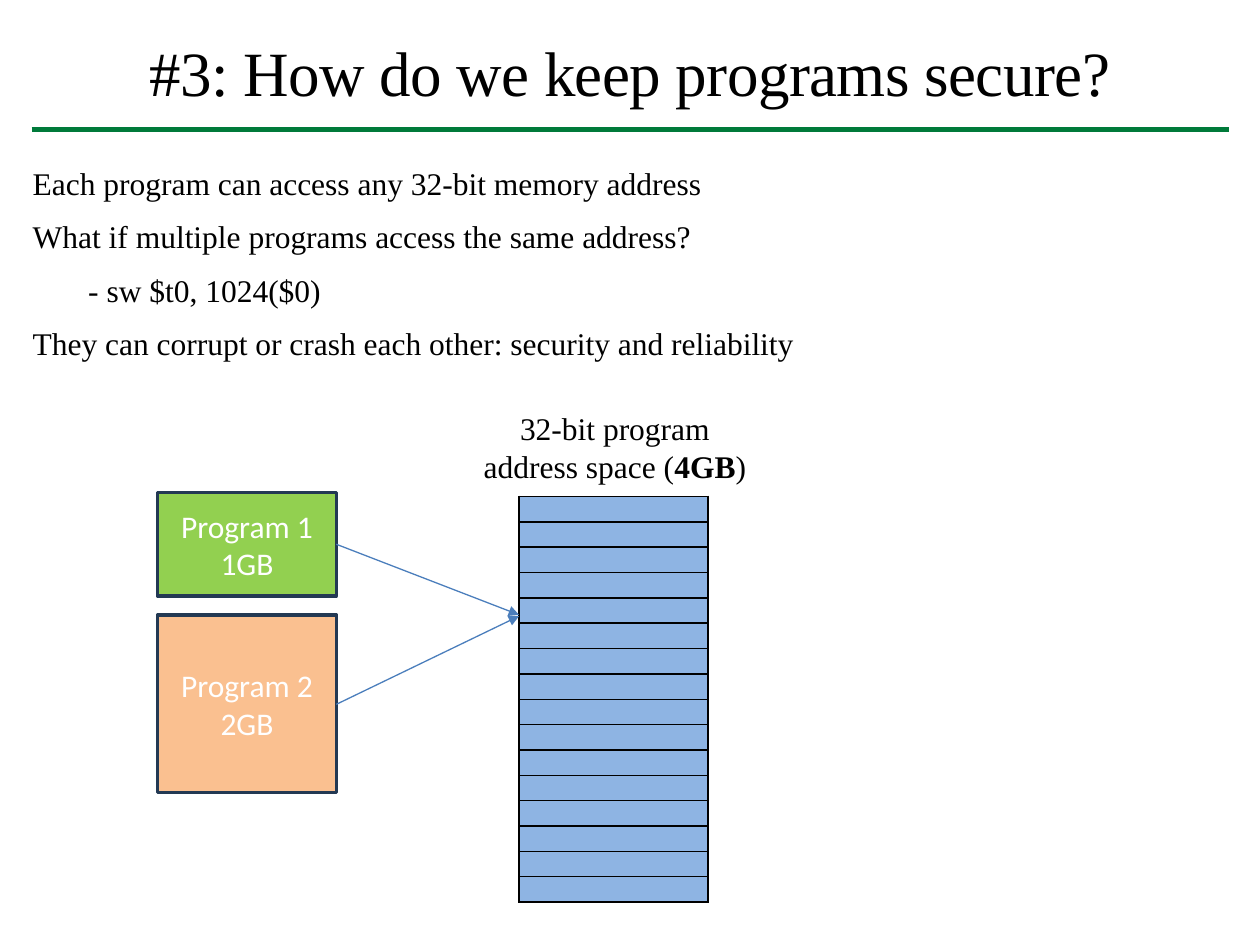
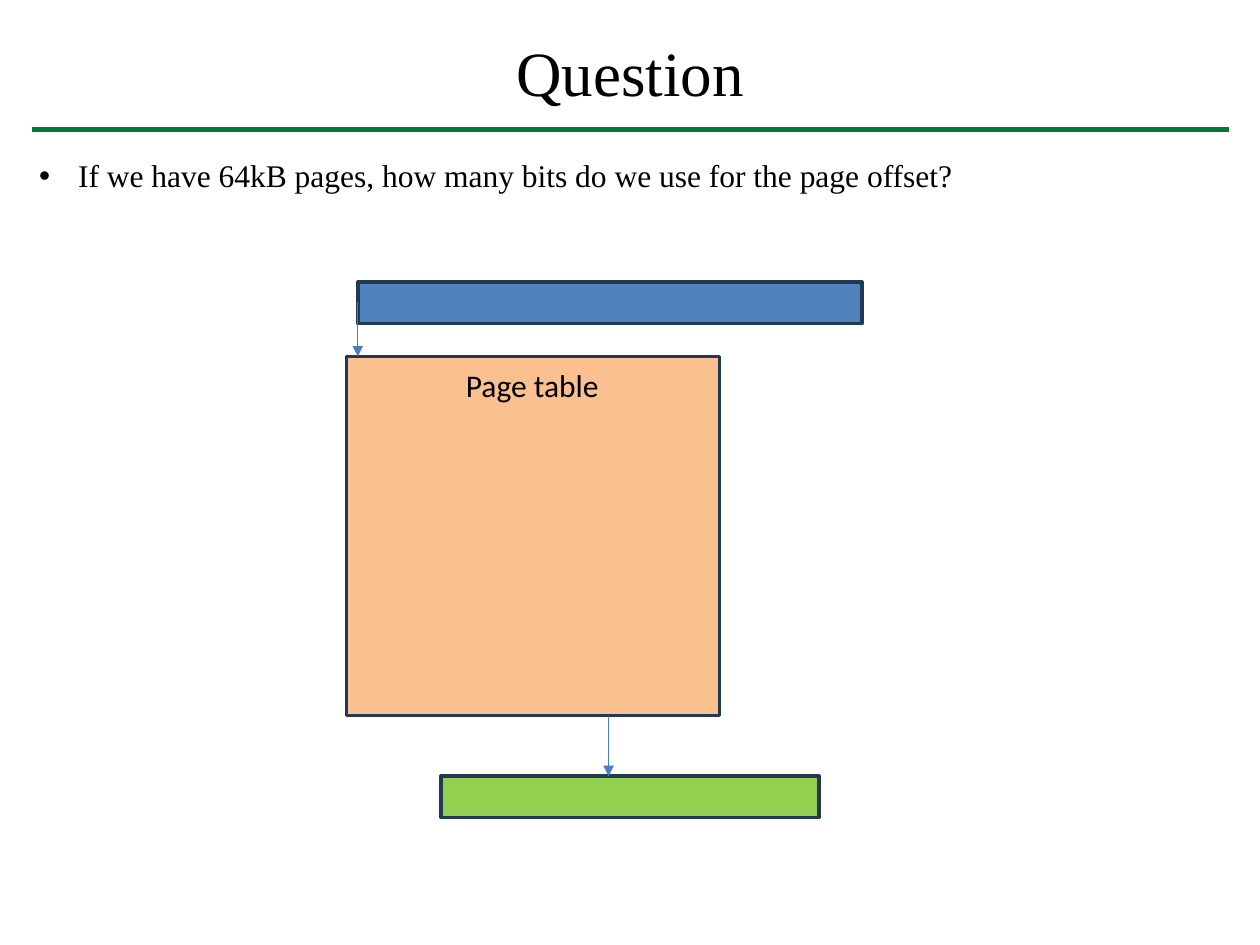
from typing import NamedTuple

from lxml import etree
from pptx import Presentation
from pptx.dml.color import RGBColor
from pptx.enum.shapes import MSO_CONNECTOR, MSO_SHAPE
from pptx.enum.text import MSO_ANCHOR, MSO_AUTO_SIZE, PP_ALIGN
from pptx.oxml.ns import qn
from pptx.util import Pt

# Shared scale, colours and fonts
PX = 9144  # 100 px to the inch
BLACK, WHITE = "000000", "FFFFFF"
RULE_GREEN, OUTLINE, ARROW_BLUE = "007A3A", "233953", "4B7EBC"
LIME, PEACH, BLUE, CELL_BLUE = "92D050", "FAC090", "4F81BD", "8EB4E3"
SERIF, SANS = "Times New Roman", "Calibri"
TITLE_SIZE, TEXT_SIZE = 36, 18
MEMORY_ROWS = 16

STRAIGHT = MSO_CONNECTOR.STRAIGHT
RECTANGLE = MSO_SHAPE.RECTANGLE
CENTER, LEFT = PP_ALIGN.CENTER, PP_ALIGN.LEFT
TOP, BOTTOM = MSO_ANCHOR.TOP, MSO_ANCHOR.BOTTOM
NO_AUTOFIT = MSO_AUTO_SIZE.NONE


class Area(NamedTuple):
    left: int
    top: int
    width: int
    height: int

    def emu(self) -> list[int]:
        return [length * PX for length in self]


class Block(NamedTuple):
    area: Area
    fill: str
    text: str = ""


class Line(NamedTuple):
    x1: int
    y1: int
    x2: int
    y2: int


class Item(NamedTuple):
    text: str
    margin: int = 0
    bullet: str = ""


TITLE_AREA = Area(25, 25, 950, 62)
TITLE_RULE = Line(25, 103, 975, 103)


def color(value: str) -> RGBColor:
    return RGBColor.from_string(value)


def style_text(frame, font: str, size: int, ink: str, align=CENTER) -> None:
    for para in frame.paragraphs:
        para.alignment = align
        for span in para.runs:
            span.font.name = font
            span.font.size = Pt(size)
            span.font.color.rgb = color(ink)


def place(holder, area: Area, margins: tuple[int, int], anchor) -> None:
    """Move a placeholder and set its side and top margins."""
    holder.left, holder.top, holder.width, holder.height = area.emu()
    frame = holder.text_frame
    frame.auto_size = NO_AUTOFIT
    frame.word_wrap = True
    frame.vertical_anchor = anchor
    frame.margin_left = frame.margin_right = margins[0] * PX
    frame.margin_top = margins[1] * PX
    frame.margin_bottom = 0


def add_line(slide, line: Line, ink: str, weight: float, arrow: bool = False) -> None:
    connector = slide.shapes.add_connector(STRAIGHT, *(length * PX for length in line))
    connector.line.color.rgb = color(ink)
    connector.line.width = Pt(weight)
    properties = connector._element.spPr
    if arrow:
        etree.SubElement(properties.find(qn("a:ln")), qn("a:tailEnd"), type="triangle")
    etree.SubElement(properties, qn("a:effectLst"))


def add_arrow(slide, line: Line) -> None:
    add_line(slide, line, ARROW_BLUE, 0.75, arrow=True)


def add_titled_slide(deck, title: str):
    slide = deck.slides.add_slide(deck.slide_layouts[1])
    holder = slide.shapes.title
    holder.text_frame.text = title
    place(holder, TITLE_AREA, (0, 1), BOTTOM)
    style_text(holder.text_frame, SERIF, TITLE_SIZE, BLACK)
    add_line(slide, TITLE_RULE, RULE_GREEN, 3)
    return slide


def fill_body(slide, area: Area, margins: tuple[int, int], items: list[Item],
              spacing: float = 1.0, gap: float = 0) -> None:
    holder = slide.placeholders[1]
    frame = holder.text_frame
    frame.text = "\n".join(item.text for item in items)
    place(holder, area, margins, TOP)
    for index, (para, item) in enumerate(zip(frame.paragraphs, items)):
        para.line_spacing = spacing
        para.space_before = Pt(gap if index else 0)
        layout = para._p.get_or_add_pPr()
        layout.set("marL", str(item.margin * PX))
        layout.set("indent", str(-item.margin * PX if item.bullet else 0))
        if item.bullet:
            etree.SubElement(layout, qn("a:buFont"), typeface="Arial")
            etree.SubElement(layout, qn("a:buChar"), char=item.bullet)
        else:
            etree.SubElement(layout, qn("a:buNone"))
    style_text(frame, SERIF, TEXT_SIZE, BLACK, LEFT)


def add_block(slide, block: Block) -> None:
    box = slide.shapes.add_shape(RECTANGLE, *block.area.emu())
    box.shadow.inherit = False
    box.fill.solid()
    box.fill.fore_color.rgb = color(block.fill)
    box.line.color.rgb = color(OUTLINE)
    box.line.width = Pt(2)
    if block.text:
        box.text_frame.text = block.text
        style_text(box.text_frame, SANS, TEXT_SIZE, WHITE)


def add_label(slide, area: Area, parts: list[str], font: str, bold_part: str = "") -> None:
    frame = slide.shapes.add_textbox(*area.emu()).text_frame
    frame.word_wrap = True
    for part in parts:
        span = frame.paragraphs[0].add_run()
        span.text = part
        span.font.bold = part == bold_part
    style_text(frame, font, TEXT_SIZE, BLACK)


def add_border(cell, side: str) -> None:
    edge = etree.SubElement(cell._tc.get_or_add_tcPr(), qn(f"a:ln{side}"), w=str(Pt(1)))
    fill = etree.SubElement(edge, qn("a:solidFill"))
    etree.SubElement(fill, qn("a:srgbClr"), val=BLACK)


def add_memory(slide, area: Area) -> None:
    table = slide.shapes.add_table(MEMORY_ROWS, 1, *area.emu()).table
    table.first_row = table.horz_banding = False
    for row in table.rows:
        row.height = area.height * PX // MEMORY_ROWS
        cell = row.cells[0]
        cell.margin_top = cell.margin_bottom = 0
        for side in "LRTB":
            add_border(cell, side)
        cell.fill.solid()
        cell.fill.fore_color.rgb = color(CELL_BLUE)
        # A small end mark keeps the empty row low
        etree.SubElement(cell.text_frame.paragraphs[0]._p, qn("a:endParaRPr"), sz="800")


def build_security_slide(deck) -> None:
    slide = add_titled_slide(deck, "#3: How do we keep programs secure?")
    title_span = slide.shapes.title.text_frame.paragraphs[0].runs[0]
    title_span._r.get_or_add_rPr().set("spc", "-30")
    fill_body(slide, Area(25, 117, 950, 169), (0, 4), [
        Item("Each program can access any 32-bit memory address", 1),
        Item("What if multiple programs access the same address?", 1),
        Item("- sw $t0, 1024($0)", 45),
        Item("They can corrupt or crash each other: security and reliability", 1),
    ], Pt(28), 2.6)

    # Address space
    add_memory(slide, Area(412, 394, 150, 322))
    add_label(slide, Area(367, 320, 242, 71),
              ["32-bit program address space (", "4GB", ")"], SERIF, "4GB")

    # Programs that reach the same address
    add_block(slide, Block(Area(125, 391, 142, 82), LIME, "Program 1\n1GB"))
    add_block(slide, Block(Area(125, 488, 142, 141), PEACH, "Program 2\n2GB"))
    add_arrow(slide, Line(267, 432, 412, 488))
    add_arrow(slide, Line(267, 559, 412, 489))


def build_question_slide(deck) -> None:
    slide = add_titled_slide(deck, "Question")
    fill_body(slide, Area(21, 119, 953, 40), (10, 5), [
        Item("If we have 64kB pages, how many bits do we use for the page offset?", 31, "•"),
    ])

    # Page table
    add_block(slide, Block(Area(275, 283, 296, 285), PEACH))
    add_label(slide, Area(281, 286, 283, 40), ["Page table"], SANS)

    # Address before and after translation
    add_block(slide, Block(Area(284, 224, 400, 33), BLUE))
    add_block(slide, Block(Area(350, 616, 300, 33), LIME))
    add_arrow(slide, Line(284, 240, 284, 283))
    add_arrow(slide, Line(483, 568, 483, 616))


def main() -> None:
    deck = Presentation()
    deck.slide_width, deck.slide_height = 1000 * PX, 750 * PX
    build_security_slide(deck)
    build_question_slide(deck)
    deck.save("out.pptx")


if __name__ == "__main__":
    main()
